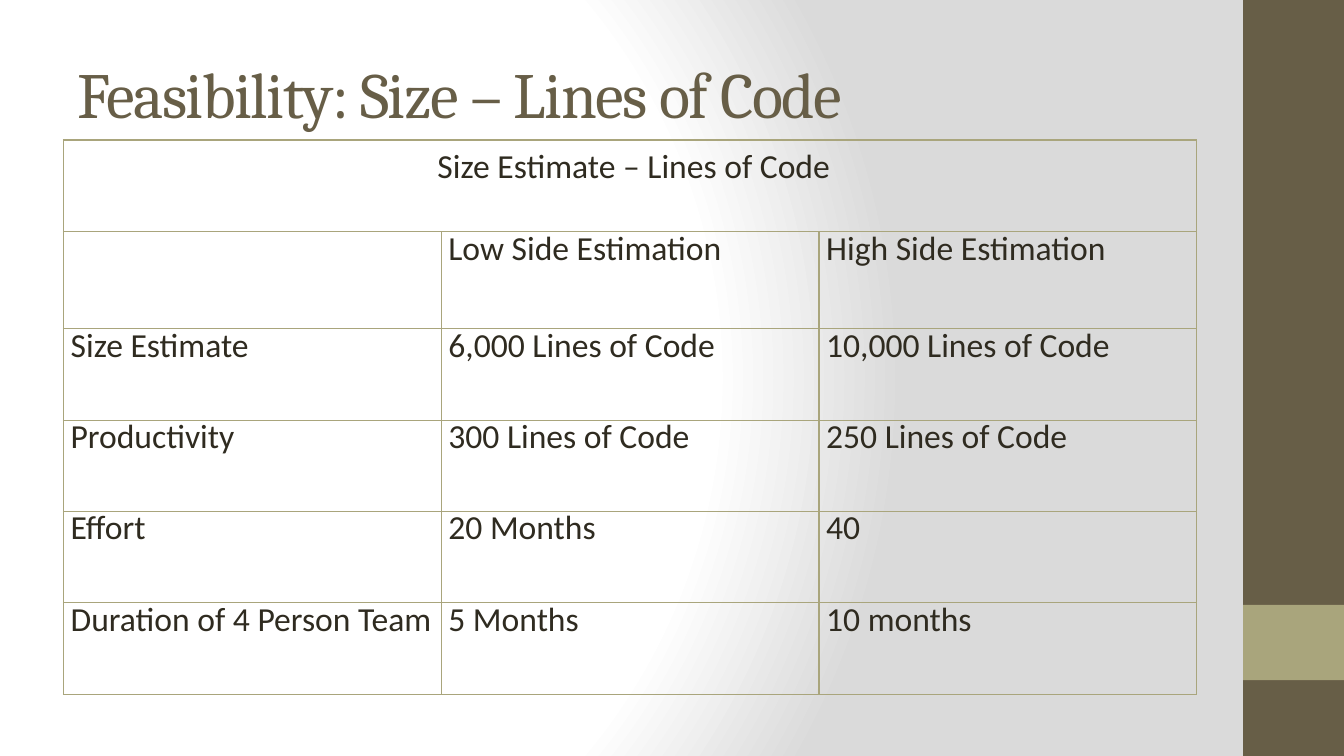
"""Build the feasibility slide with the lines-of-code size estimate table."""
from pptx import Presentation
from pptx.dml.color import RGBColor
from pptx.enum.shapes import MSO_SHAPE
from pptx.enum.text import MSO_ANCHOR, PP_ALIGN
from pptx.oxml import parse_xml
from pptx.oxml.ns import nsdecls
from pptx.util import Cm, Pt

COLOURS = {
    "brown": "675E47",
    "olive": "A9A57C",
    "ink": "2F2B20",
    "white": "FFFFFF",
    "grey": "DADADA",
}
ROWS = [
    ("Size Estimate – Lines of Code", "", ""),
    ("", "Low Side Estimation", "High Side Estimation"),
    ("Size Estimate", "6,000 Lines of Code", "10,000 Lines of Code"),
    ("Productivity", "300 Lines of Code", "250 Lines of Code"),
    ("Effort", "20 Months", "40"),
    ("Duration of 4 Person Team", "5 Months", "10 months"),
]
ROW_HEIGHTS = [2.31, 2.44, 2.31, 2.29, 2.31, 2.31]
COLUMN_WIDTH = 9.52
LINE_PITCH = Pt(13.5)
CELL_FORMAT = {"margin_left": Cm(0.18), "margin_right": 0, "margin_top": LINE_PITCH,
               "margin_bottom": 0, "vertical_anchor": MSO_ANCHOR.TOP}
HEADER_FORMAT = {"margin_top": 0}


def apply_format(target, values):
    for name, value in values.items():
        setattr(target, name, value)


def write_text(para, text, font_name, size, colour):
    span = para.add_run()
    span.text = text
    apply_format(span.font, {"name": font_name, "size": Pt(size), "bold": False})
    span.font.color.rgb = RGBColor.from_string(COLOURS[colour])
    return span


deck = Presentation()
apply_format(deck, {"slide_width": Cm(33.87), "slide_height": Cm(19.05)})
page = deck.slides.add_slide(deck.slide_layouts[6])

stops = "".join(
    f'<a:gs pos="{position * 1000}"><a:srgbClr val="{COLOURS[colour]}"/></a:gs>'
    for position, colour in [(0, "white"), (75, "white"), (100, "grey")])
page.element.cSld.insert(0, parse_xml(
    f'<p:bg {nsdecls("p", "a")}><p:bgPr><a:gradFill rotWithShape="1">'
    f'<a:gsLst>{stops}</a:gsLst><a:path path="circle">'
    '<a:fillToRect l="20000" t="50000" r="100000" b="50000"/></a:path>'
    '</a:gradFill><a:effectLst/></p:bgPr></p:bg>'))

for top, height, colour in [(0, 19.05, "brown"), (15.24, 1.9, "olive")]:
    band = page.shapes.add_shape(MSO_SHAPE.RECTANGLE, Cm(31.33), Cm(top), Cm(2.54), Cm(height))
    band.shadow.inherit = False
    band.fill.solid()
    band.fill.fore_color.rgb = RGBColor.from_string(COLOURS[colour])
    band.line.fill.background()

title_box = page.shapes.add_textbox(Cm(1.7), Cm(0.76), Cm(28.22), Cm(3.18))
apply_format(title_box.text_frame, {"word_wrap": True, "vertical_anchor": MSO_ANCHOR.MIDDLE})
title = write_text(title_box.text_frame.paragraphs[0], "Feasibility: Size – Lines of Code",
                   "Cambria", 46, "brown")
title.font._element.set("spc", "-100")

table = page.shapes.add_table(len(ROWS), 3, Cm(1.6), Cm(3.53),
                              Cm(3 * COLUMN_WIDTH), Cm(sum(ROW_HEIGHTS))).table
apply_format(table, {"first_row": False, "horz_banding": False})
for column in table.columns:
    column.width = Cm(COLUMN_WIDTH)
table.cell(0, 0).merge(table.cell(0, 2))

for row_index, (texts, height) in enumerate(zip(ROWS, ROW_HEIGHTS)):
    table.rows[row_index].height = Cm(height)
    for column_index, text in enumerate(texts):
        cell = table.cell(row_index, column_index)
        apply_format(cell, CELL_FORMAT)
        properties = cell._tc.get_or_add_tcPr()
        for side in "LRTB":
            properties.append(parse_xml(
                f'<a:ln{side} {nsdecls("a")} w="12700"><a:solidFill>'
                f'<a:srgbClr val="{COLOURS["olive"]}"/></a:solidFill></a:ln{side}>'))
        cell.fill.background()
        if text:
            para = cell.text_frame.paragraphs[0]
            para.line_spacing = LINE_PITCH
            write_text(para, text, "Calibri", 24, "ink")

header = table.cell(0, 0)
apply_format(header, HEADER_FORMAT)
apply_format(header.text_frame.paragraphs[0],
             {"alignment": PP_ALIGN.CENTER, "line_spacing": 1.15})

deck.save("out.pptx")
